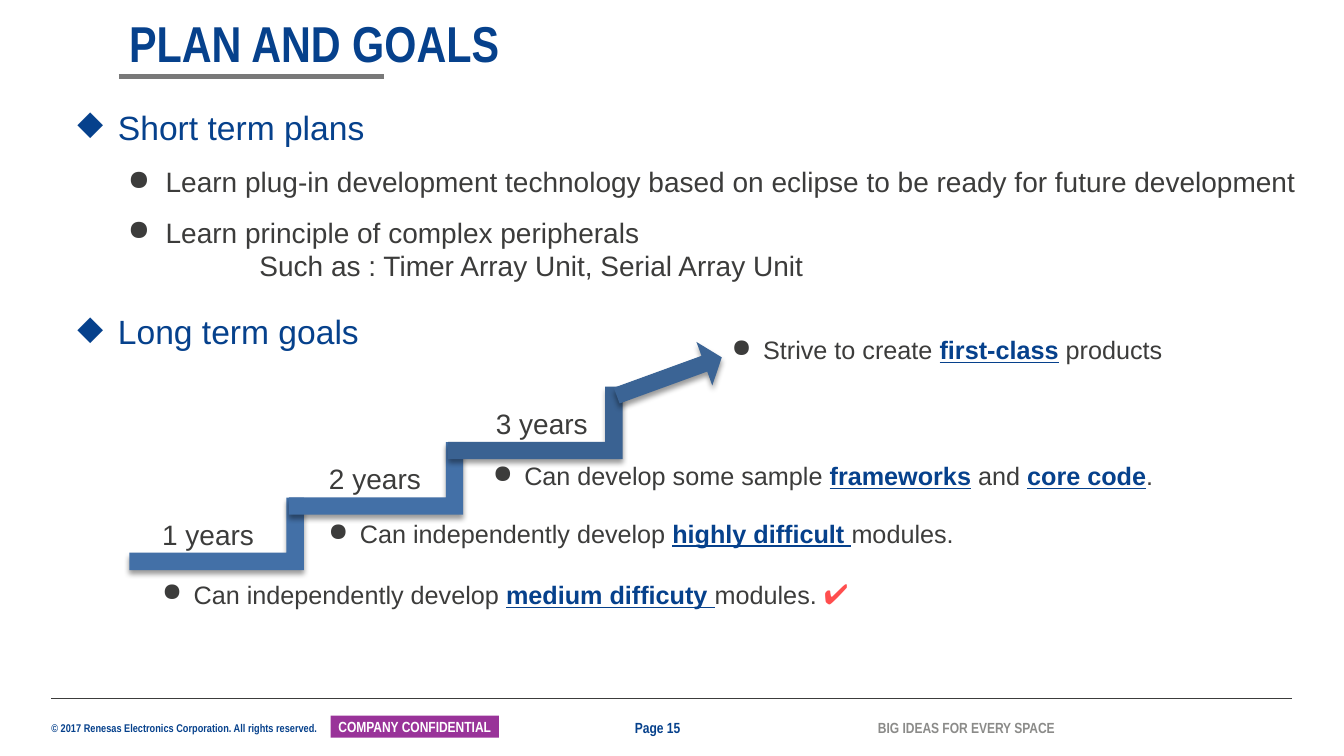
from lxml.etree import SubElement
from pptx import Presentation
from pptx.dml.color import RGBColor
from pptx.enum.shapes import MSO_CONNECTOR as Connector, MSO_SHAPE as Shape
from pptx.enum.text import MSO_ANCHOR as Anchor, MSO_AUTO_SIZE as AutoSize, PP_ALIGN as Align
from pptx.oxml.ns import qn
from pptx.util import Pt

COLORS = {
    "navy": "06418C", "ink": "3C3C3B", "white": "FFFFFF", "purple": "993399",
    "rule": "797979", "tagline": "8B8B89", "red": "FF4E4E",
    "step": "4370A7", "top_step": "3A6292", "arrow": "3B6495", "shadow": "000000",
}
HEADING = {"size": 24, "color": "navy"}
BODY = {"size": 20}
GOAL = {"size": 18}
KEY = {"size": 18, "color": "navy", "bold": True, "underline": True}
TICK = {"size": 20, "color": "red", "bold": True}
FOOTER = {"size": 10.5, "name": "Arial Narrow", "color": "navy", "bold": True}


class PlanSlide:
    """Draws the parts of one slide in a shared style, with lengths in points."""

    def __init__(self, deck):
        self.slide = deck.slides.add_slide(deck.slide_layouts[5])
        self.shapes = self.slide.shapes

    def color(self, name):
        return RGBColor.from_string(COLORS[name])

    def fill_runs(self, paragraph, runs):
        for words, style in runs:
            run = paragraph.add_run()
            run.text = words
            look = {"name": "Arial", "color": "ink", "bold": False, **style}
            run.font.color.rgb = self.color(look.pop("color"))
            look["size"] = Pt(look["size"])
            for key, value in look.items():
                setattr(run.font, key, value)

    def format_frame(self, frame, anchor=Anchor.TOP, margins=(7.2, 3.6)):
        side, edge = (Pt(margin) for margin in margins)
        settings = {
            "word_wrap": True, "auto_size": AutoSize.NONE, "vertical_anchor": anchor,
            "margin_left": side, "margin_right": side,
            "margin_top": edge, "margin_bottom": edge,
        }
        for key, value in settings.items():
            setattr(frame, key, value)

    def title(self, words, box):
        title = self.shapes.title
        title.left, title.top, title.width, title.height = map(Pt, box)
        self.format_frame(title.text_frame, Anchor.MIDDLE)
        paragraph = title.text_frame.paragraphs[0]
        paragraph.alignment, paragraph.line_spacing = Align.LEFT, 0.9
        self.fill_runs(paragraph, [(words, {**FOOTER, "size": 36})])

    def text(self, box, paragraphs, **frame_format):
        frame = self.shapes.add_textbox(*map(Pt, box)).text_frame
        self.format_frame(frame, **frame_format)
        for index, (runs, layout) in enumerate(paragraphs):
            paragraph = frame.add_paragraph() if index else frame.paragraphs[0]
            paragraph.level = layout.get("level", 0)
            if "before" in layout:
                paragraph.space_before = Pt(layout["before"])
            properties = paragraph._p.get_or_add_pPr()
            if "indent" in layout:
                properties.set("marL", str(Pt(layout["indent"])))
                properties.set("indent", str(-Pt(layout.get("hang", 0))))
            if "bullet" in layout:
                SubElement(properties, qn("a:buChar"), char=layout["bullet"])
            self.fill_runs(paragraph, runs)

    def line(self, x1, x2, y, color, width):
        rule = self.shapes.add_connector(Connector.STRAIGHT, Pt(x1), Pt(y), Pt(x2), Pt(y))
        rule.line.color.rgb = self.color(color)
        rule.line.width = Pt(width)
        SubElement(rule._element.spPr, qn("a:effectLst"))

    def shape(self, kind, box, color):
        shape = self.shapes.add_shape(kind, *map(Pt, box))
        shape.fill.solid()
        shape.fill.fore_color.rgb = self.color(color)
        shape.line.fill.background()
        shape.shadow.inherit = False
        return shape

    def stair(self, kind, box, color, rotation, adjustments):
        stair = self.shape(kind, box, color)
        stair.rotation = rotation
        for index, value in enumerate(adjustments):
            stair.adjustments[index] = value
        effects = stair._element.spPr.find(qn("a:effectLst"))
        shadow = SubElement(effects, qn("a:outerShdw"), blurRad=str(Pt(4)), dist=str(Pt(3)),
                            dir="5400000", rotWithShape="0")
        tint = SubElement(shadow, qn("a:srgbClr"), val=COLORS["shadow"])
        SubElement(tint, qn("a:alpha"), val="40000")

    def badge(self, words, box):
        badge = self.shape(Shape.RECTANGLE, box, "purple")
        self.format_frame(badge.text_frame, Anchor.MIDDLE, (2.9, 0))
        paragraph = badge.text_frame.paragraphs[0]
        paragraph.alignment = Align.CENTER
        self.fill_runs(paragraph, [(words, {**FOOTER, "color": "white"})])


def main():
    """Builds and saves the slide."""
    deck = Presentation()
    deck.slide_width, deck.slide_height = Pt(960), Pt(540)
    plan = PlanSlide(deck)

    plan.title("PLAN AND GOALS", (85, 9.4, 671, 46.8))
    plan.line(85, 274.3, 54.7, "rule", 3)

    plan.line(36.7, 923, 499, "ink", 0.5)
    plan.badge("COMPANY CONFIDENTIAL", (236.2, 511.2, 120.2, 15.8))
    footers = [
        ("© 2017 Renesas Electronics Corporation. All rights reserved.",
         (36.7, 515.5, 198, 9.4), {"size": 8}),
        ("Page 15", (453.6, 513.4, 52.6, 13), {}),
        ("BIG IDEAS FOR EVERY SPACE", (627.1, 513.4, 140, 13), {"color": "tagline"}),
    ]
    for words, box, style in footers:
        plan.text(box, [([(words, {**FOOTER, **style})], {})],
                  anchor=Anchor.MIDDLE, margins=(0, 0))

    section = {"indent": 29, "hang": 29, "bullet": "◆"}
    item = {"level": 1, "indent": 63, "hang": 27, "bullet": "●"}
    plan.text((48.2, 72.7, 891.4, 134.6), [
        ([("Short term plans", HEADING)], section),
        ([("Learn plug-in development technology based on eclipse"
           " to be ready for future development", BODY)], {**item, "before": 12.6}),
        ([("Learn principle of complex peripherals", BODY)], {**item, "before": 12}),
        ([("Such as : Timer Array Unit, Serial Array Unit", BODY)],
         {"level": 1, "indent": 130}),
    ])
    plan.text((48.2, 218.9, 290.2, 36), [([("Long term goals", HEADING)], section)])

    for index, color in enumerate(["step", "step", "top_step"]):
        rise = 39.6 * index
        plan.stair(Shape.CORNER, (128.9 + 113.8 * index, 319 - rise, 51.8, 124.6),
                   color, 270, [0.24, 0.24])
        plan.text((108.7 + 119.2 * index, 365.8 - rise, 84, 31.7),
                  [([(f"{index + 1} years", BODY)], {})])
    plan.stair(Shape.UP_ARROW, (461.5, 229, 33.1, 79.9), "arrow", 70, [0.36, 0.4])

    goals = [
        (108.7, 408.2, [("Can independently develop ", GOAL), ("medium difficuty ", KEY),
                        ("modules. ", GOAL), ("✔", TICK)]),
        (227.5, 366.5, [("Can independently develop ", GOAL), ("highly difficult ", KEY),
                        ("modules.", GOAL)]),
        (344.9, 325.4, [("Can develop some sample ", GOAL), ("frameworks", KEY),
                        (" and ", GOAL), ("core code", KEY), (".", GOAL)]),
        (515.5, 235.4, [("Strive to create ", GOAL), ("first-class", KEY),
                        (" products", GOAL)]),
    ]
    for left, top, runs in goals:
        plan.text((left, top, 507.6 if left < 500 else 324.7, 29),
                  [(runs, {"indent": 22.5, "hang": 22.5, "bullet": "●"})])

    deck.save("out.pptx")


if __name__ == "__main__":
    main()
